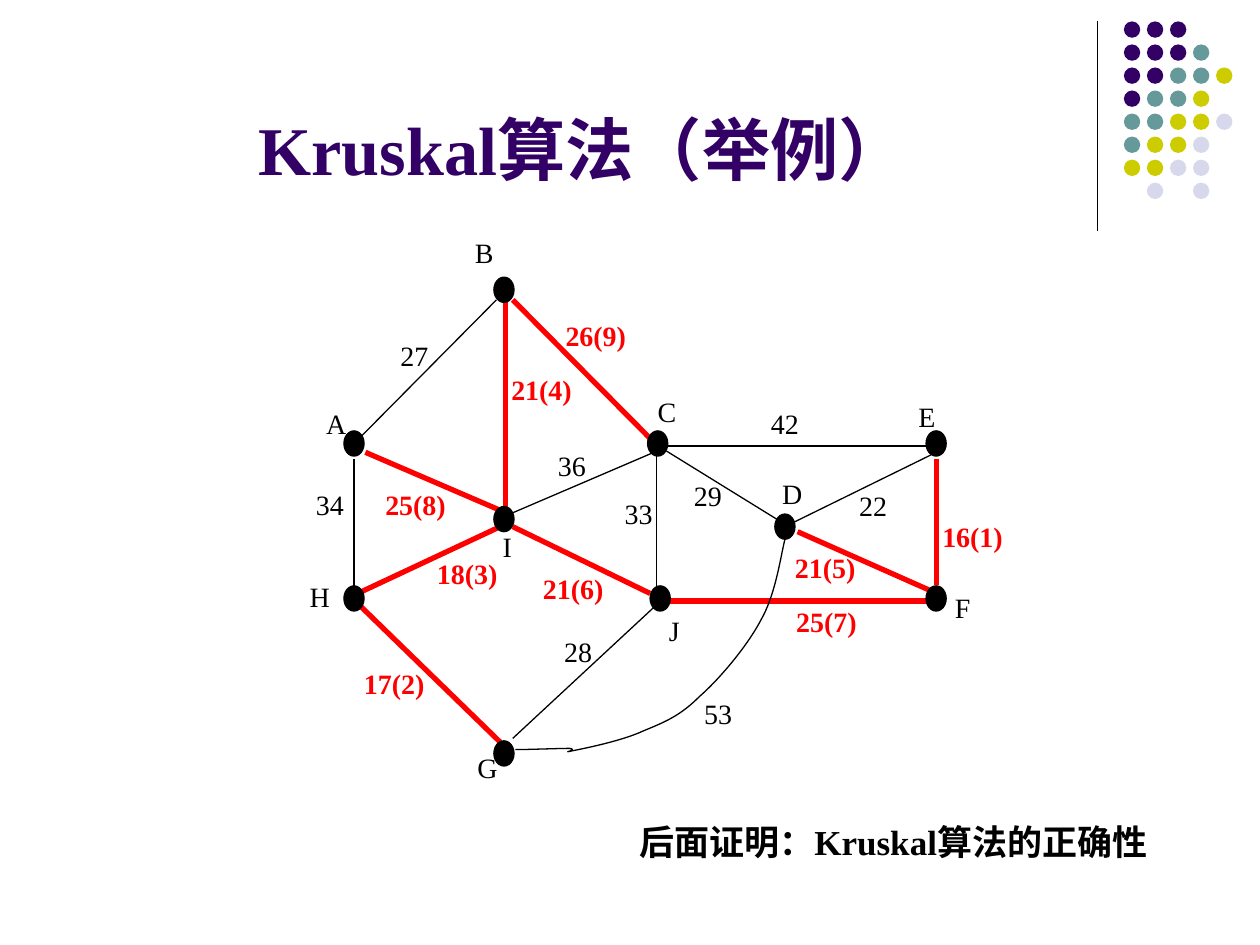
"""Builds the slide with the worked example of Kruskal's algorithm."""
import lxml.etree
import pptx
import pptx.dml.color
import pptx.enum.shapes
import pptx.enum.text
import pptx.oxml.ns
import pptx.util

Inches = pptx.util.Inches
Pt = pptx.util.Pt
SHAPE = pptx.enum.shapes.MSO_SHAPE
ALIGN = pptx.enum.text.PP_ALIGN
ANCHOR = pptx.enum.text.MSO_ANCHOR
qn = pptx.oxml.ns.qn

BLACK, RED, PURPLE = "000000", "FF0000", "330066"
DOT_COLOURS = {"P": PURPLE, "T": "669999", "Y": "CCCC00", "L": "D8D8EC"}
DOT_ROWS = ["PPP", "PPPT", "PPTTY", "PTTY", "TTYYL", "TYYL", "YYLL", " L L"]

NODES = [
    (3.92, 2.2), (2.73, 3.42), (3.92, 5.88), (7.35, 3.42), (6.15, 4.08),
    (3.92, 4.02), (5.16, 4.65), (5.14, 3.42), (7.35, 4.65), (2.73, 4.65),
]
PLAIN_EDGES = [
    (2.85, 3.48, 3.94, 2.38), (2.81, 3.64, 2.81, 4.73),
    (4.07, 5.86, 5.19, 4.82), (5.21, 4.74, 5.21, 3.61),
    (4.07, 4.07, 5.19, 3.59), (5.29, 3.54, 7.35, 3.54),
    (5.29, 3.58, 6.18, 4.13), (6.29, 4.15, 7.39, 3.61),
]
TREE_EDGES = [
    (4.07, 2.38, 5.17, 3.49), (2.86, 4.81, 3.97, 5.89),
    (2.9, 3.59, 3.97, 4.05), (2.86, 4.7, 3.97, 4.18),
    (4.07, 4.18, 5.16, 4.71), (4.01, 2.4, 4.01, 4.05),
    (5.31, 4.77, 7.37, 4.77), (7.43, 4.64, 7.43, 3.64),
    (6.33, 4.22, 7.39, 4.69),
]
CURVED_EDGE = [
    (6.23, 4.28), (6.2, 4.39), (6.16, 4.71), (6.04, 4.92),
    (5.93, 5.13), (5.71, 5.39), (5.55, 5.53),
    (5.4, 5.68), (5.28, 5.73), (5.11, 5.8),
    (4.94, 5.88), (4.64, 5.94), (4.54, 5.96),
    (4.44, 5.98), (4.6, 5.95), (4.52, 5.94),
    (4.45, 5.94), (4.18, 5.95), (4.09, 5.95),
]
WEIGHTS = [
    ("27", 3.08, 2.64, 0.45, 0.41), ("42", 6.02, 3.18, 0.52, 0.46),
    ("53", 5.49, 5.48, 0.5, 0.45), ("33", 4.86, 3.89, 0.47, 0.42),
    ("28", 4.38, 4.99, 0.43, 0.41), ("36", 4.33, 3.51, 0.46, 0.43),
    ("34", 2.41, 3.82, 0.43, 0.34), ("29", 5.41, 3.75, 0.84, 0.73),
    ("22", 6.72, 3.83, 0.43, 0.41),
]
TREE_WEIGHTS = [
    ("26(9)", 4.39, 2.48, 0.99, 0.36), ("21(4)", 3.96, 2.91, 1.13, 0.43),
    ("21(5)", 6.21, 4.32, 0.75, 0.33), ("25(7)", 6.22, 4.75, 0.74, 0.46),
    ("18(3)", 3.37, 4.37, 0.76, 0.42), ("17(2)", 2.79, 5.24, 0.89, 0.4),
    ("16(1)", 7.38, 4.07, 0.82, 0.38), ("21(6)", 4.21, 4.49, 0.75, 0.4),
    ("25(8)", 2.96, 3.82, 0.7, 0.38),
]
NODE_NAMES = [
    ("A", 2.49, 3.18, 0.38, 0.45), ("H", 2.36, 4.55, 0.36, 0.43),
    ("J", 5.21, 4.82, 0.33, 0.4), ("E", 7.19, 3.12, 0.34, 0.35),
    ("C", 5.12, 3.08, 0.39, 0.39), ("B", 3.67, 1.82, 0.69, 0.66),
    ("G", 3.69, 5.91, 0.27, 0.39), ("F", 7.48, 4.64, 0.32, 0.34),
    ("D", 6.11, 3.73, 0.44, 0.35), ("I", 3.89, 4.15, 0.33, 0.4),
]


def rgb(colour):
    return pptx.dml.color.RGBColor.from_string(colour)


class GraphSlide:
    font = "Times New Roman"

    def __init__(self, s):
        self.s = s

    def add_text(self, tf, runs, size, colour, bold, align):
        p = tf.paragraphs[0]
        p.alignment = align
        for text in runs:
            r = p.add_run()
            r.text = text
            r.font.name = self.font
            r.font.size = Pt(size)
            r.font.bold = bold
            r.font.color.rgb = rgb(colour)

    def title(self, runs, x, y, w, h):
        sp = self.s.shapes.title
        sp.left, sp.top, sp.width, sp.height = map(Inches, (x, y, w, h))
        tf = sp.text_frame
        tf.auto_size = pptx.enum.text.MSO_AUTO_SIZE.NONE
        tf.vertical_anchor = ANCHOR.BOTTOM
        self.add_text(tf, runs, 39, PURPLE, True, ALIGN.CENTER)

    def label(self, text, x, y, w, h, colour=BLACK, bold=False):
        sp = self.s.shapes.add_textbox(*map(Inches, (x, y, w, h)))
        sp.text_frame.word_wrap = True
        self.add_text(sp.text_frame, [text], 16, colour, bold, ALIGN.JUSTIFY)

    def dot(self, x, y, w, h, fill, line=None):
        sp = self.s.shapes.add_shape(SHAPE.OVAL, *map(Inches, (x, y, w, h)))
        sp.shadow.inherit = False
        sp.fill.solid()
        sp.fill.fore_color.rgb = rgb(fill)
        if line:
            self.stroke(sp, line, 0.75)
        else:
            sp.line.fill.background()

    def stroke(self, sp, colour, width):
        sp.line.color.rgb = rgb(colour)
        sp.line.width = Pt(width)

    def line(self, x1, y1, x2, y2, colour=BLACK, width=0.75):
        sp = self.s.shapes.add_connector(
            pptx.enum.shapes.MSO_CONNECTOR.STRAIGHT, *map(Inches, (x1, y1, x2, y2)))
        self.stroke(sp, colour, width)
        lxml.etree.SubElement(sp._element.spPr, qn("a:effectLst"))

    def curve(self, points):
        start, *rest = [(Inches(x), Inches(y)) for x, y in points]
        builder = self.s.shapes.build_freeform(*start)
        builder.add_line_segments(rest, close=False)
        sp = builder.convert_to_shape()
        sp.shadow.inherit = False
        sp.fill.background()
        self.stroke(sp, BLACK, 0.75)
        segments = list(sp._element.iter(qn("a:lnTo")))
        for i in range(0, len(segments), 3):
            bezier = lxml.etree.Element(qn("a:cubicBezTo"))
            segments[i].addprevious(bezier)
            for segment in segments[i:i + 3]:
                bezier.append(segment[0])
                segment.getparent().remove(segment)

    def callout(self, runs, x, y, w, h):
        sp = self.s.shapes.add_shape(
            SHAPE.ROUNDED_RECTANGULAR_CALLOUT, *map(Inches, (x, y, w, h)))
        for i, value in enumerate((-0.21, 0.62, 0.17)):
            sp.adjustments[i] = value
        sp.shadow.inherit = False
        sp.fill.background()
        sp.line.fill.background()
        sp.text_frame.word_wrap = False
        sp.text_frame.vertical_anchor = ANCHOR.TOP
        self.add_text(sp.text_frame, runs, 20, BLACK, True, ALIGN.CENTER)


def main():
    prs = pptx.Presentation()
    prs.slide_width, prs.slide_height = Inches(10), Inches(7.5)
    g = GraphSlide(prs.slides.add_slide(prs.slide_layouts[5]))

    g.line(8.71, 0.17, 8.71, 1.83)
    pitch = 1.28 / 7
    for row, keys in enumerate(DOT_ROWS):
        for col, key in enumerate(keys):
            if key in DOT_COLOURS:
                g.dot(8.92 + col * pitch, 0.17 + row * pitch, 0.13, 0.13, DOT_COLOURS[key])

    g.title(["Kruskal", "算法（举例）"], 0.5, 0.13, 8.25, 1.42)
    for edge in PLAIN_EDGES:
        g.line(*edge)
    for edge in TREE_EDGES:
        g.line(*edge, RED, 3)
    g.curve(CURVED_EDGE)
    for label in WEIGHTS + NODE_NAMES:
        g.label(*label)
    for label in TREE_WEIGHTS:
        g.label(*label, RED, True)
    for x, y in NODES:
        g.dot(x, y, 0.16, 0.2, BLACK, BLACK)
    g.callout(["后面证明：", "Kruskal", "算法的正确性"], 4.45, 6.43, 5.28, 0.71)

    prs.save("out.pptx")


if __name__ == "__main__":
    main()
